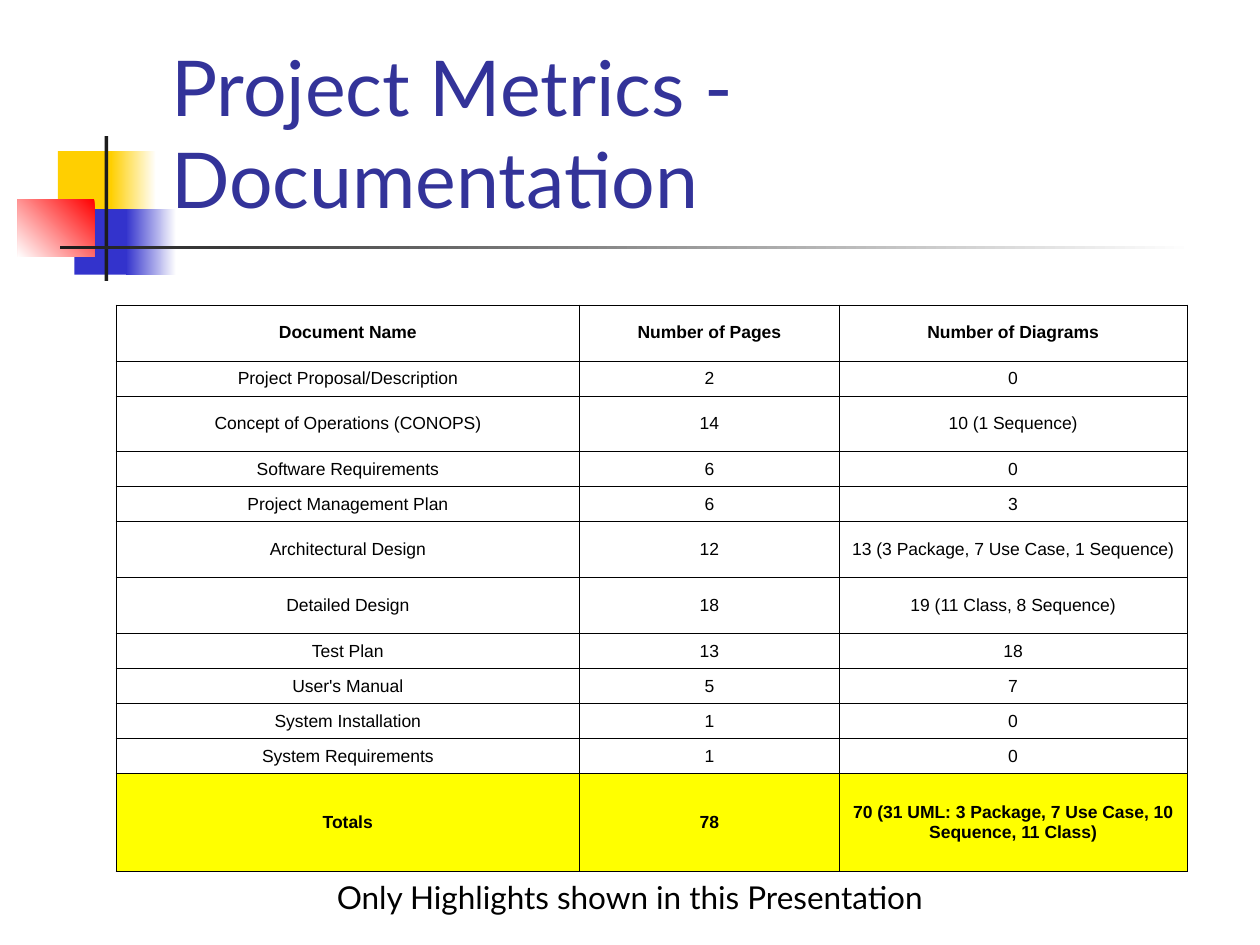
from lxml import etree
from pptx import Presentation
from pptx.dml.color import RGBColor
from pptx.enum.shapes import MSO_SHAPE
from pptx.enum.text import MSO_ANCHOR, PP_ALIGN
from pptx.oxml.ns import qn
from pptx.util import Inches, Pt

RECT = MSO_SHAPE.RECTANGLE
LEFT, CENTER = PP_ALIGN.LEFT, PP_ALIGN.CENTER
TOP, MIDDLE, BOTTOM = MSO_ANCHOR.TOP, MSO_ANCHOR.MIDDLE, MSO_ANCHOR.BOTTOM

WHITE = RGBColor(0xFF, 0xFF, 0xFF)
BLACK = RGBColor(0x00, 0x00, 0x00)
GOLD = RGBColor(0xFF, 0xCF, 0x01)
BLUE = RGBColor(0x33, 0x33, 0xCC)
RED = RGBColor(0xFF, 0x00, 0x00)
CHARCOAL = RGBColor(0x1C, 0x1C, 0x1C)
INDIGO = RGBColor(0x33, 0x33, 0x99)
YELLOW = RGBColor(0xFF, 0xFF, 0x00)

TITLE_FONT = dict(name="Lato", size=Pt(44), bold=False)
CAPTION_FONT = dict(name="Lato", size=Pt(18), bold=False)
CELL_FONT = dict(name="Arial", size=Pt(10), bold=False)
BOLD_FONT = dict(CELL_FONT, bold=True)

COLUMNS = (3.68, 2.06, 2.76)  # relative widths
SHORT, TALL, TOTAL = 5, 8, 14  # relative row heights
ROWS = (
    (TALL, "Document Name", "Number of Pages", "Number of Diagrams"),
    (SHORT, "Project Proposal/Description", "2", "0"),
    (TALL, "Concept of Operations (CONOPS)", "14", "10 (1 Sequence)"),
    (SHORT, "Software Requirements", "6", "0"),
    (SHORT, "Project Management Plan", "6", "3"),
    (TALL, "Architectural Design", "12", "13 (3 Package, 7 Use Case, 1 Sequence)"),
    (TALL, "Detailed Design", "18", "19 (11 Class, 8 Sequence)"),
    (SHORT, "Test Plan", "13", "18"),
    (SHORT, "User's Manual", "5", "7"),
    (SHORT, "System Installation", "1", "0"),
    (SHORT, "System Requirements", "1", "0"),
    (TOTAL, "Totals", "78",
     "70 (31 UML: 3 Package, 7 Use Case, 10 Sequence, 11 Class)"),
)


def write(tf, text, color, font, align):
    p = tf.paragraphs[0]
    p.alignment = align
    r = p.add_run()
    r.text = text
    r.font.color.rgb = color
    for name, value in font.items():
        setattr(r.font, name, value)


def add_block(s, box, colors, angle=180):
    """Rectangle in one colour, or fading through two at a counterclockwise angle."""
    sp = s.shapes.add_shape(RECT, *map(Inches, box))
    sp.shadow.inherit = False
    sp.line.fill.background()
    if len(colors) == 1:
        sp.fill.solid()
        sp.fill.fore_color.rgb = colors[0]
        return
    sp.fill.gradient()
    sp.fill.gradient_angle = angle
    for stop, color in zip(sp.fill.gradient_stops, colors):
        stop.color.rgb = color


def add_emblem(s, left, top):
    """Coloured squares crossed by a vertical bar and a fading rule."""
    for x, y, w, h, colors, angle in (
        (0.32, 0.12, 0.48, 0.52, (GOLD,), 0),
        (0.74, 0.12, 0.36, 0.52, (WHITE, GOLD), 180),
        (0.45, 0.58, 0.46, 0.52, (BLUE,), 0),
        (0.86, 0.58, 0.40, 0.52, (WHITE, BLUE), 180),
        (0, 0.50, 0.61, 0.46, (RED, WHITE), 225),
        (0.69, 0, 0.03, 1.15, (CHARCOAL,), 0),
        (0.34, 0.87, 9, 0.03, (WHITE, CHARCOAL), 180),
    ):
        add_block(s, (left + x, top + y, w, h), colors, angle)


def add_text(s, box, text, color, font, align, anchor):
    tf = s.shapes.add_textbox(*map(Inches, box)).text_frame
    tf.word_wrap = True
    tf.vertical_anchor = anchor
    write(tf, text, color, font, align)


def add_borders(cell):
    tc_pr = cell._tc.get_or_add_tcPr()
    for i, side in enumerate(("lnL", "lnR", "lnT", "lnB")):
        ln = etree.Element(qn("a:" + side), w=str(Pt(0.45)))
        fill = etree.SubElement(ln, qn("a:solidFill"))
        etree.SubElement(fill, qn("a:srgbClr"), val=str(BLACK))
        tc_pr.insert(i, ln)


def add_metrics_table(s, left, top, width, height):
    frame = s.shapes.add_table(len(ROWS), len(COLUMNS),
                               *map(Inches, (left, top, width, height)))
    table = frame.table
    table.first_row = table.horz_banding = False
    for column, share in zip(table.columns, COLUMNS):
        column.width = Inches(width * share / sum(COLUMNS))
    units = sum(row[0] for row in ROWS)
    last = len(ROWS) - 1
    for i, (share, *texts) in enumerate(ROWS):
        table.rows[i].height = Inches(height * share / units)
        for j, text in enumerate(texts):
            cell = table.cell(i, j)
            cell.vertical_anchor = MIDDLE
            if i == last:
                cell.fill.solid()
                cell.fill.fore_color.rgb = YELLOW
            else:
                cell.fill.background()
            add_borders(cell)
            font = BOLD_FONT if i in (0, last) else CELL_FONT
            write(cell.text_frame, text, BLACK, font, CENTER)


def main():
    prs = Presentation()
    prs.slide_width, prs.slide_height = Inches(10), Inches(7.5)
    s = prs.slides.add_slide(prs.slide_layouts[6])
    add_emblem(s, 0.14, 1.08)
    add_text(s, (1.26, 0.23, 8.52, 1.6), "Project Metrics - Documentation",
             INDIGO, TITLE_FONT, LEFT, BOTTOM)
    add_text(s, (0.75, 6.92, 8.5, 0.4), "Only Highlights shown in this Presentation",
             BLACK, CAPTION_FONT, CENTER, TOP)
    add_metrics_table(s, 0.92, 2.42, 8.5, 4.5)
    prs.save("out.pptx")


if __name__ == "__main__":
    main()
